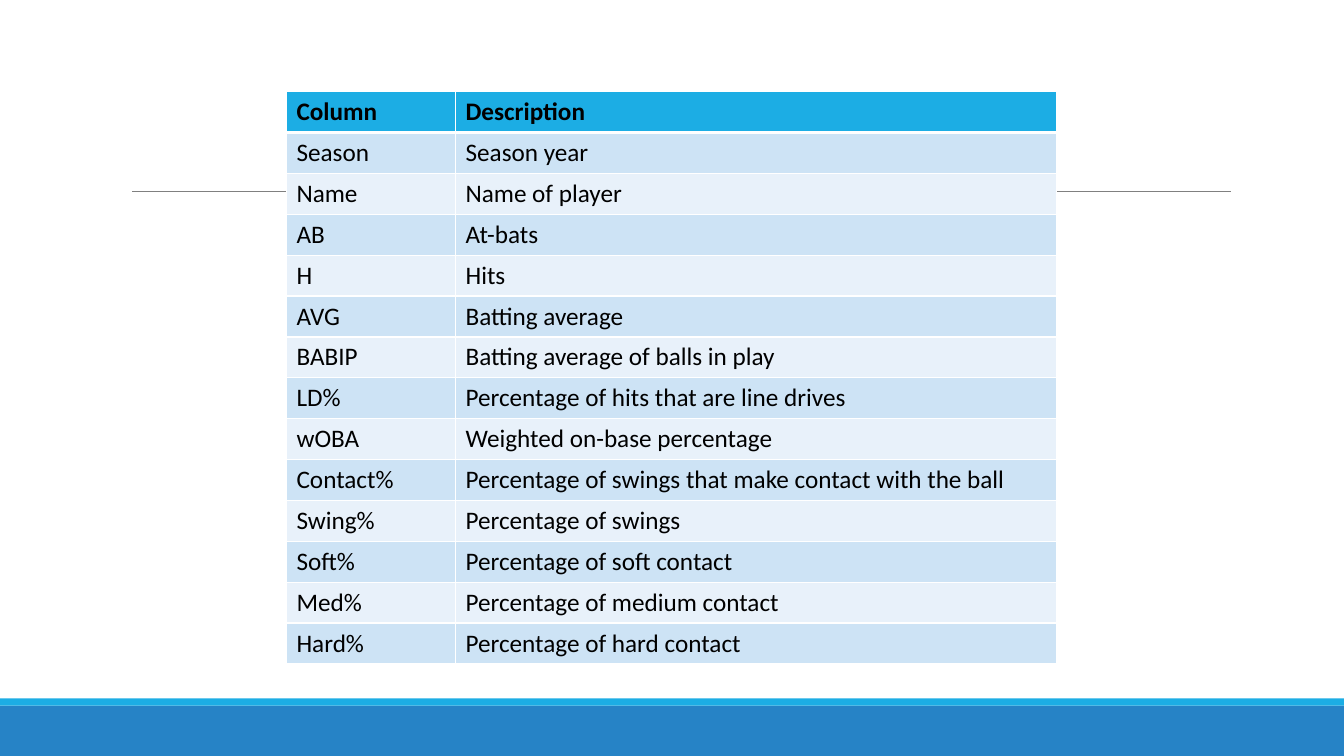
from lxml import etree
from pptx import Presentation
from pptx.dml.color import RGBColor
from pptx.enum.shapes import MSO_CONNECTOR, MSO_SHAPE
from pptx.oxml.ns import qn
from pptx.util import Cm, Pt

STRAIGHT = MSO_CONNECTOR.STRAIGHT
RECTANGLE = MSO_SHAPE.RECTANGLE
COLORS = {
    "footer": "2683C6",
    "accent": "1CADE4",
    "rule": "808080",
    "odd_row": "CDE3F5",
    "even_row": "E8F1FA",
    "border": "FFFFFF",
    "text": "000000",
}
FONT = "Calibri"
BLANK_LAYOUT = 6
ROW_HEIGHT = Cm(1.03)
COLUMN_WIDTHS = [Cm(4.26), Cm(15.15)]

ROWS = [
    ("Column", "Description"),
    ("Season", "Season year"),
    ("Name", "Name of player"),
    ("AB", "At-bats"),
    ("H", "Hits"),
    ("AVG", "Batting average"),
    ("BABIP", "Batting average of balls in play"),
    ("LD%", "Percentage of hits that are line drives"),
    ("wOBA", "Weighted on-base percentage"),
    ("Contact%", "Percentage of swings that make contact with the ball"),
    ("Swing%", "Percentage of swings"),
    ("Soft%", "Percentage of soft contact"),
    ("Med%", "Percentage of medium contact"),
    ("Hard%", "Percentage of hard contact"),
]


def rgb(name):
    """Return the named colour of the slide."""
    return RGBColor.from_string(COLORS[name])


def add_border(cell, side, points):
    """Draw one side (L, R, T or B) of a cell in the border colour."""
    properties = cell._tc.get_or_add_tcPr()
    border = etree.SubElement(properties, qn(f"a:ln{side}"), w=str(Pt(points)))
    fill = etree.SubElement(border, qn("a:solidFill"))
    etree.SubElement(fill, qn("a:srgbClr"), val=COLORS["border"])


prs = Presentation()
prs.slide_width = Cm(33.87)
prs.slide_height = Cm(19.05)
slide = prs.slides.add_slide(prs.slide_layouts[BLANK_LAYOUT])

# Footer bands
for top, height, color in [(17.78, 1.27, "footer"), (17.6, 0.18, "accent")]:
    band = slide.shapes.add_shape(
        RECTANGLE, 0, Cm(top), prs.slide_width, Cm(height)
    )
    band.shadow.inherit = False
    band.fill.solid()
    band.fill.fore_color.rgb = rgb(color)
    band.line.fill.background()

# Rule behind the table
rule = slide.shapes.add_connector(
    STRAIGHT, Cm(3.33), Cm(4.82), Cm(31.01), Cm(4.82)
)
rule.line.color.rgb = rgb("rule")
rule.line.width = Pt(0.5)
etree.SubElement(rule._element.spPr, qn("a:effectLst"))

# Table of column descriptions
glossary = slide.shapes.add_table(
    len(ROWS), len(COLUMN_WIDTHS), Cm(7.22), Cm(2.31),
    sum(COLUMN_WIDTHS), ROW_HEIGHT * len(ROWS),
).table
for column, width in zip(glossary.columns, COLUMN_WIDTHS):
    column.width = width

for row_index, texts in enumerate(ROWS):
    is_header = row_index == 0
    if is_header:
        row_color = "accent"
    else:
        row_color = "odd_row" if row_index % 2 else "even_row"
    glossary.rows[row_index].height = ROW_HEIGHT

    for column_index, text in enumerate(texts):
        cell = glossary.cell(row_index, column_index)
        add_border(cell, "L", 1)
        add_border(cell, "R", 1)
        add_border(cell, "T", 3 if row_index == 1 else 1)
        add_border(cell, "B", 3 if is_header else 1)
        cell.fill.solid()
        cell.fill.fore_color.rgb = rgb(row_color)

        cell.text_frame.text = text
        font = cell.text_frame.paragraphs[0].runs[0].font
        font.name = FONT
        font.size = Pt(18)
        font.bold = is_header
        font.color.rgb = rgb("text")

prs.save("out.pptx")
